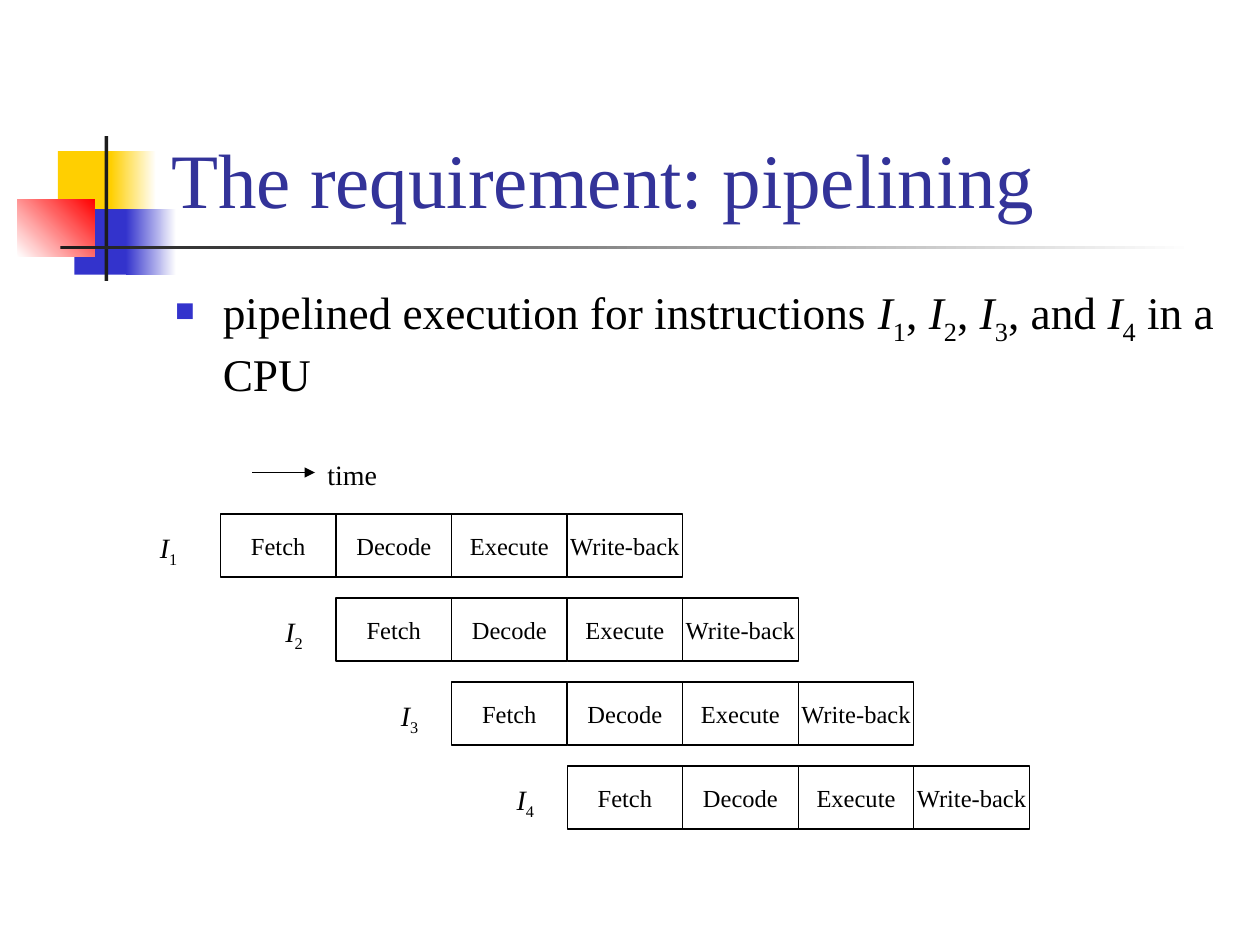
from dataclasses import dataclass

from lxml import etree
from pptx import Presentation
from pptx.dml.color import RGBColor
from pptx.enum.shapes import MSO_CONNECTOR, MSO_SHAPE
from pptx.enum.text import MSO_ANCHOR, MSO_AUTO_SIZE, PP_ALIGN
from pptx.oxml.ns import qn
from pptx.util import Inches, Pt

RECT = MSO_SHAPE.RECTANGLE
LINE = MSO_CONNECTOR.STRAIGHT
LEFT, CENTER = PP_ALIGN.LEFT, PP_ALIGN.CENTER
TOP, MIDDLE, BOTTOM = MSO_ANCHOR.TOP, MSO_ANCHOR.MIDDLE, MSO_ANCHOR.BOTTOM
FIXED, GROW = MSO_AUTO_SIZE.NONE, MSO_AUTO_SIZE.SHAPE_TO_FIT_TEXT

STAGES = ["Fetch", "Decode", "Execute", "Write-back"]


@dataclass(frozen=True)
class Theme:
    """Colours, font and type sizes of the slide."""
    face: str = "Times New Roman"
    ink: str = "000000"
    head: str = "333399"
    blue: str = "3333CC"
    gold: str = "FFCF01"
    red: str = "FF0000"
    dark: str = "1C1C1C"
    white: str = "FFFFFF"
    title: float = 44
    body: float = 25.9
    label: float = 16
    stage: float = 14
    rule: float = 0.75


THEME = Theme()


def rgb(code):
    """Turn a hex code into a colour."""
    return RGBColor.from_string(code)


def box(x, y, w, h):
    """Turn inches into a box of lengths."""
    return Inches(x), Inches(y), Inches(w), Inches(h)


def style(para, size, color=THEME.ink, align=LEFT):
    """Set the font and alignment of a paragraph."""
    para.alignment = align
    font = para.font
    font.name, font.size = THEME.face, Pt(size)
    font.color.rgb = rgb(color)


def add_term(para, num):
    """Add an italic I with a number set below the line."""
    name = para.add_run()
    name.text, name.font.italic = "I", True
    sub = para.add_run()
    sub.text = str(num)
    sub._r.get_or_add_rPr().set("baseline", "-25000")


def add_frame(slide, area, wrap, fit):
    """Add a text box and return its first paragraph."""
    frame = slide.shapes.add_textbox(*area).text_frame
    frame.word_wrap, frame.auto_size = wrap, fit
    frame.vertical_anchor = TOP
    return frame.paragraphs[0]


def add_rect(slide, area):
    """Add a rectangle without fill, line or shadow."""
    shape = slide.shapes.add_shape(RECT, *area)
    shape.shadow.inherit = False
    shape.fill.background()
    shape.line.fill.background()
    return shape


def add_block(slide, area, *colors, angle=0):
    """Add a block of one colour or a blend of two."""
    fill = add_rect(slide, area).fill
    if len(colors) == 1:
        fill.solid()
        fill.fore_color.rgb = rgb(colors[0])
        return
    fill.gradient()
    fill.gradient_angle = angle
    for stop, color in zip(fill.gradient_stops, colors):
        stop.color.rgb = rgb(color)


def add_motif(slide, x, y):
    """Draw the coloured blocks and bars beside the title."""
    t = THEME
    blocks = [
        (0.32, 0.12, 0.48, 0.52, [t.gold], 0),
        (0.74, 0.12, 0.36, 0.52, [t.gold, t.white], 0),
        (0.45, 0.58, 0.46, 0.52, [t.blue], 0),
        (0.86, 0.58, 0.4, 0.52, [t.blue, t.white], 0),
        (0, 0.5, 0.61, 0.46, [t.white, t.red], 45),
        (0.69, 0, 0.03, 1.15, [t.dark], 0),
        (0.34, 0.87, 9, 0.03, [t.dark, t.white], 0),
    ]
    for dx, dy, w, h, colors, angle in blocks:
        add_block(slide, box(x + dx, y + dy, w, h), *colors, angle=angle)


def set_title(slide, area, text):
    """Place and format the title."""
    title = slide.shapes.title
    title.left, title.top, title.width, title.height = area
    frame = title.text_frame
    frame.text = text
    frame.word_wrap, frame.auto_size = True, FIXED
    frame.vertical_anchor = BOTTOM
    style(frame.paragraphs[0], THEME.title, THEME.head)


def add_body(slide, area):
    """Add the bulleted sentence."""
    para = add_frame(slide, area, True, FIXED)
    props = para._p.get_or_add_pPr()
    props.set("marL", str(Inches(0.38)))
    props.set("indent", str(Inches(-0.38)))
    tint = etree.SubElement(props, qn("a:buClr"))
    etree.SubElement(tint, qn("a:srgbClr"), val=THEME.blue)
    etree.SubElement(props, qn("a:buSzPct"), val="60000")
    etree.SubElement(props, qn("a:buChar"), char="■")
    style(para, THEME.body)
    leads = ["pipelined execution for instructions ", ", ", ", ", ", and "]
    for num, lead in enumerate(leads, 1):
        para.add_run().text = lead
        add_term(para, num)
    para.add_run().text = " in a CPU"


def add_time(slide, x, y):
    """Add the time arrow and its label."""
    line = slide.shapes.add_connector(
        LINE, Inches(x), Inches(y), Inches(x + 0.5), Inches(y))
    line.line.width = Pt(THEME.rule)
    line.line.color.rgb = rgb(THEME.ink)
    etree.SubElement(line.line._get_or_add_ln(), qn("a:tailEnd"), type="triangle")
    etree.SubElement(line._element.spPr, qn("a:effectLst"))
    para = add_frame(slide, box(x + 0.5, y - 0.17, 0.65, 0.37), False, FIXED)
    style(para, THEME.label)
    para.add_run().text = "time"


def add_stage(slide, area, text):
    """Add one outlined stage."""
    shape = add_rect(slide, area)
    shape.line.color.rgb = rgb(THEME.ink)
    shape.line.width = Pt(THEME.rule)
    frame = shape.text_frame
    frame.word_wrap, frame.vertical_anchor = False, MIDDLE
    para = frame.paragraphs[0]
    style(para, THEME.stage, align=CENTER)
    para.add_run().text = text


def add_pipe(slide, x, y, w, h, count=4, tall=0.5):
    """Draw the rows of stages, each one stage later than the last."""
    wide = w / (count + len(STAGES) - 1)
    step = (h - tall) / (count - 1)
    for row in range(count):
        left, top = x + row * wide, y + row * step
        for col, text in enumerate(STAGES):
            add_stage(slide, box(left + col * wide, top, wide, tall), text)
        gap = 0.5 if row else 0.58
        para = add_frame(
            slide, box(left - gap, top + 0.08, 0.34, 0.41), False, GROW)
        style(para, THEME.label)
        add_term(para, row + 1)


def main():
    """Build and save the slide."""
    deck = Presentation()
    deck.slide_width, deck.slide_height = Inches(10), Inches(7.5)
    slide = deck.slides.add_slide(deck.slide_layouts[5])
    add_motif(slide, 0.14, 1.08)
    set_title(slide, box(1.26, 0.23, 8.52, 1.6), "The requirement: pipelining")
    add_body(slide, box(1.29, 2.21, 8.5, 1.04))
    add_time(slide, 2, 3.75)
    add_pipe(slide, 1.75, 4.08, 6.42, 2.5)
    deck.save("out.pptx")


if __name__ == "__main__":
    main()
